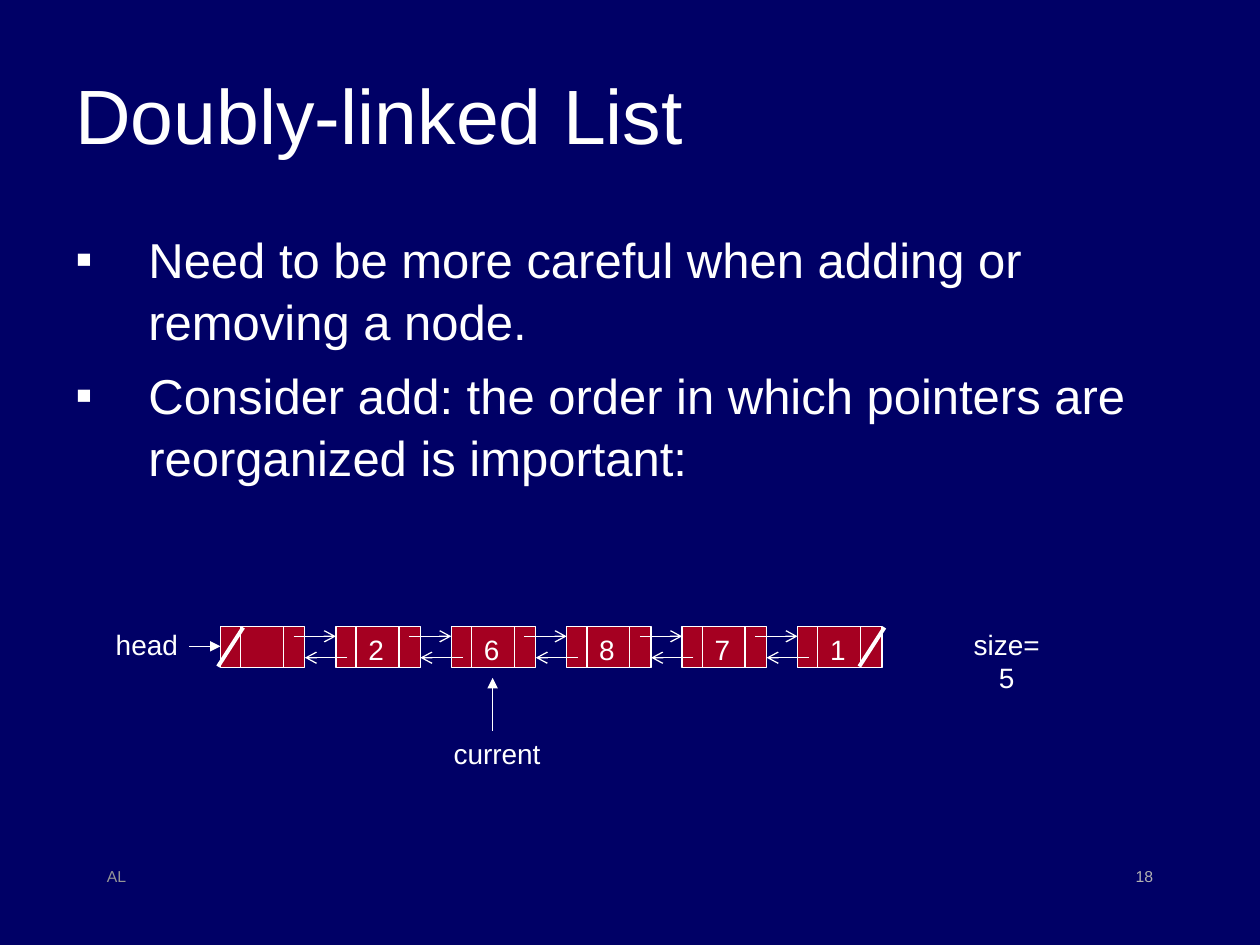
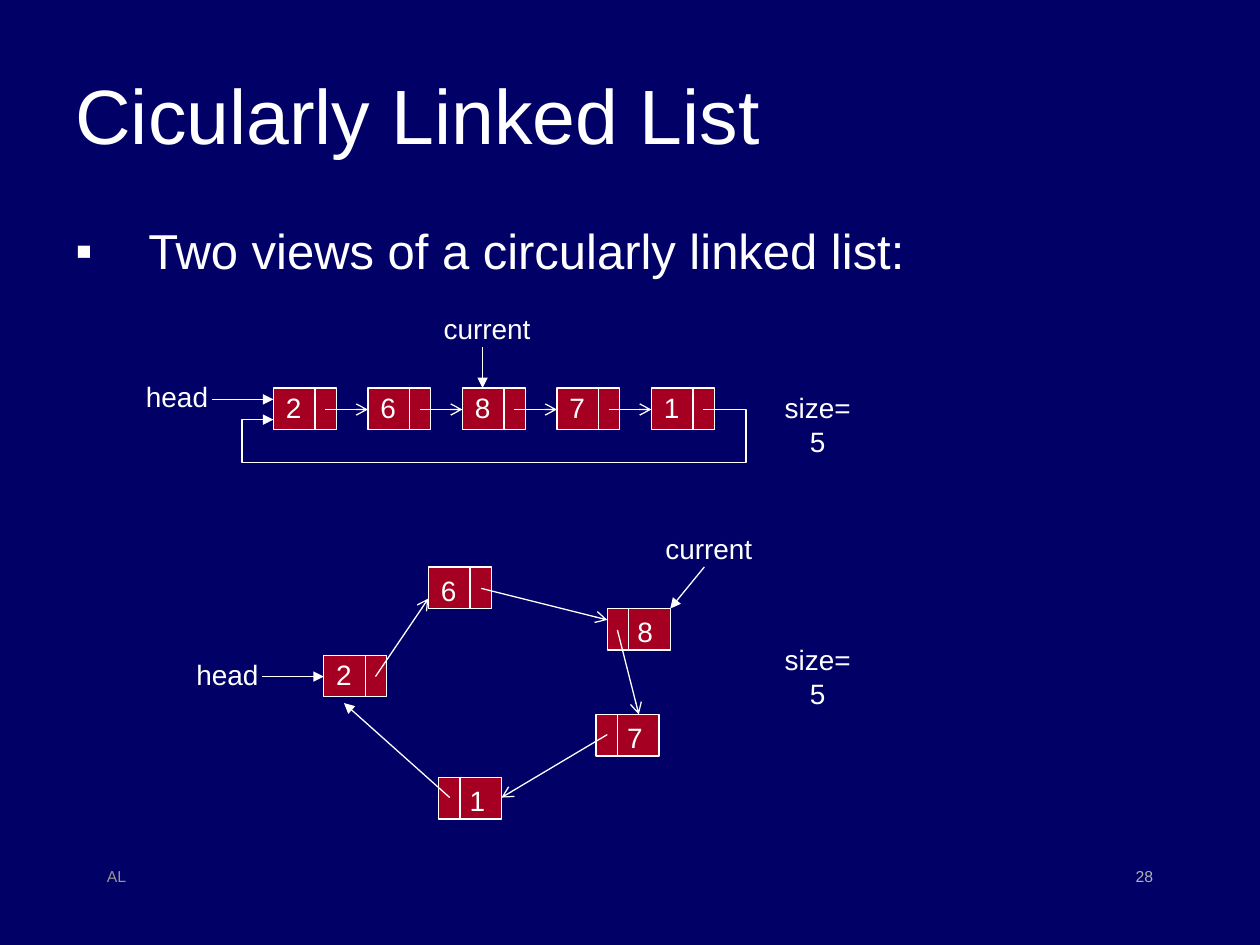
from lxml.etree import SubElement
from pptx import Presentation
from pptx.dml.color import RGBColor
from pptx.enum.shapes import MSO_CONNECTOR as Connector, MSO_SHAPE as Shape
from pptx.enum.text import MSO_ANCHOR as Anchor, PP_ALIGN as Align
from pptx.oxml.ns import qn
from pptx.util import Inches, Pt

NAVY = RGBColor(0x00, 0x00, 0x66)
WHITE = RGBColor(0xFF, 0xFF, 0xFF)
CRIMSON = RGBColor(0xA5, 0x00, 0x21)
LIGHT_GREY = RGBColor(0xB2, 0xB2, 0xB2)
GREY = RGBColor(0x96, 0x96, 0x96)
FONT = "Arial"
NODE_HEIGHT = 0.33
LABEL_HEIGHT = 0.37
LABEL_WIDTHS = {"head": 0.69, "current": 0.89, "size=5": 0.84}


def style_runs(paragraph, size, color):
    for run in paragraph.runs:
        run.font.name = FONT
        run.font.size = Pt(size)
        run.font.color.rgb = color


def add_text(slide, text, box, size, color=WHITE, align=Align.LEFT, wrap=True):
    frame = slide.shapes.add_textbox(*map(Inches, box)).text_frame
    frame.word_wrap = wrap
    frame.text = text
    for paragraph in frame.paragraphs:
        paragraph.alignment = align
        style_runs(paragraph, size, color)
    return frame


def add_bullets(slide, points, height, line_spacing):
    frame = add_text(slide, "\n".join(points), (0.5, 1.75, 9, height), 28)
    for index, paragraph in enumerate(frame.paragraphs):
        paragraph.line_spacing = line_spacing
        if index:
            paragraph.space_before = Pt(7)
        properties = paragraph._p.get_or_add_pPr()
        properties.set("marL", str(Inches(0.58)))
        properties.set("indent", str(Inches(-0.58)))
        SubElement(properties, qn("a:buFont"), typeface=FONT)
        SubElement(properties, qn("a:buChar"), char="▪")


def add_label(slide, text, left, top):
    box = (left, top, LABEL_WIDTHS[text], LABEL_HEIGHT)
    add_text(slide, text, box, 16, align=Align.CENTER, wrap=False)


def style_line(line_shape, width, arrowhead):
    line_shape.line.color.rgb = WHITE
    line_shape.line.width = Pt(width)
    if arrowhead:
        outline = line_shape.element.spPr.find(qn("a:ln"))
        SubElement(outline, qn("a:tailEnd"), type=arrowhead)


def add_line(slide, start, end, arrowhead=None, width=0.75):
    line = slide.shapes.add_connector(
        Connector.STRAIGHT, *map(Inches, (*start, *end)))
    style_line(line, width, arrowhead)
    SubElement(line.element.spPr, qn("a:effectLst"))


def add_loop(slide, points):
    start, *corners = [tuple(map(Inches, point)) for point in points]
    builder = slide.shapes.build_freeform(*start)
    builder.add_line_segments(corners, close=False)
    loop = builder.convert_to_shape()
    loop.fill.background()
    loop.shadow.inherit = False
    style_line(loop, 0.75, "triangle")


def add_node(slide, left, top, width, dividers):
    node = slide.shapes.add_shape(
        Shape.RECTANGLE, *map(Inches, (left, top, width, NODE_HEIGHT)))
    node.fill.solid()
    node.fill.fore_color.rgb = CRIMSON
    node.shadow.inherit = False
    style_line(node, 0.75, None)
    for divider in dividers:
        x = left + divider
        add_line(slide, (x, top), (x, top + NODE_HEIGHT))


def add_value(slide, value, left, top):
    add_text(slide, value, (left, top, 0.27, LABEL_HEIGHT), 16)


def add_base_slide(deck, title, number):
    slide = deck.slides.add_slide(deck.slide_layouts[6])
    slide.background.fill.solid()
    slide.background.fill.fore_color.rgb = NAVY
    heading = add_text(slide, title, (0.5, 0.4, 9, 1), 44)
    heading.vertical_anchor = Anchor.MIDDLE
    add_text(slide, number, (7.17, 6.83, 2.08, 0.5), 9, LIGHT_GREY, Align.RIGHT)
    add_text(slide, "AL", (0.75, 6.83, 2.08, 0.5), 9, GREY)
    return slide


def draw_double_list(slide):
    first, top, pitch, width = 1.75, 4.97, 0.916, 0.67
    values = ["", "2", "6", "8", "7", "1"]
    lefts = [first + index * pitch for index in range(len(values))]
    for left, value in zip(lefts, values):
        add_node(slide, left, top, width, (0.16, 0.5))
        if value:
            add_value(slide, value, left + 0.16, top)
    for left, following in zip(lefts, lefts[1:]):
        add_line(slide, (left + 0.58, 5.05), (following, 5.05), "arrow")
        add_line(slide, (following + 0.09, 5.22), (left + width, 5.22), "arrow")
    for null_right in (1.93, 7.02):
        add_line(slide, (null_right, 4.98), (null_right - 0.2, 5.29), width=2.25)
    add_label(slide, "head", 0.82, 4.93)
    add_line(slide, (1.5, 5.13), (first, 5.13), "triangle")
    add_label(slide, "current", 3.5, 5.8)
    add_line(slide, (3.91, 5.8), (3.91, 5.38), "triangle")
    add_label(slide, "size=5", 7.57, 4.93)


def draw_linear_view(slide):
    first, top, pitch, middle = 2.17, 3.08, 0.75, 3.25
    values = "26871"
    for index, value in enumerate(values):
        left = first + index * pitch
        add_node(slide, left, top, 0.5, (0.33,))
        add_value(slide, value, left, top - 0.03)
        if index < len(values) - 1:
            add_line(slide, (left + 0.41, middle), (left + pitch, middle), "arrow")
    add_loop(slide, [(5.58, middle), (5.92, middle), (5.92, 3.67),
                     (1.92, 3.67), (1.92, 3.33), (first, 3.33)])
    add_label(slide, "head", 1.06, 2.96)
    add_line(slide, (1.68, 3.17), (first, 3.17), "triangle")
    add_label(slide, "current", 3.42, 2.42)
    add_line(slide, (3.83, 2.75), (3.83, top), "triangle")
    add_label(slide, "size=5", 6.07, 3.05)


def draw_ring_view(slide):
    ring = [
        ("2", 2.57, 5.2, 0.33, 0, -0.03),
        ("6", 3.4, 4.5, 0.33, 0, 0),
        ("8", 4.82, 4.83, 0.17, 0.14, 0),
        ("7", 4.73, 5.67, 0.17, 0.15, 0),
        ("1", 3.48, 6.17, 0.17, 0.15, 0),
    ]
    for value, left, top, divider, shift, drop in ring:
        add_node(slide, left, top, 0.5, (divider,))
        add_value(slide, value, left + shift, top + drop)
    links = [
        ((2.98, 5.37), (3.4, 4.75), "arrow"),
        ((3.82, 4.67), (4.82, 4.92), "arrow"),
        ((4.9, 5), (5.07, 5.67), "arrow"),
        ((4.82, 5.83), (3.98, 6.33), "arrow"),
        ((3.57, 6.33), (2.73, 5.58), "triangle"),
        ((2.08, 5.37), (2.57, 5.37), "triangle"),
        ((5.59, 4.5), (5.32, 4.83), "triangle"),
    ]
    for start, end, arrowhead in links:
        add_line(slide, start, end, arrowhead)
    add_label(slide, "head", 1.46, 5.17)
    add_label(slide, "current", 5.18, 4.17)
    add_label(slide, "size=5", 6.07, 5.05)


def main():
    deck = Presentation()
    deck.slide_width, deck.slide_height = Inches(10), Inches(7.5)

    doubly = add_base_slide(deck, "Doubly-linked List", "18")
    add_bullets(doubly, [
        "Need to be more careful when adding or removing a node.",
        "Consider add: the order in which pointers are reorganized is important:",
    ], 2.67, 1.05)
    draw_double_list(doubly)

    circular = add_base_slide(deck, "Cicularly Linked List", "28")
    add_bullets(circular, ["Two views of a circularly linked list:"], 0.84, 0.9)
    draw_linear_view(circular)
    draw_ring_view(circular)

    deck.save("out.pptx")


if __name__ == "__main__":
    main()
